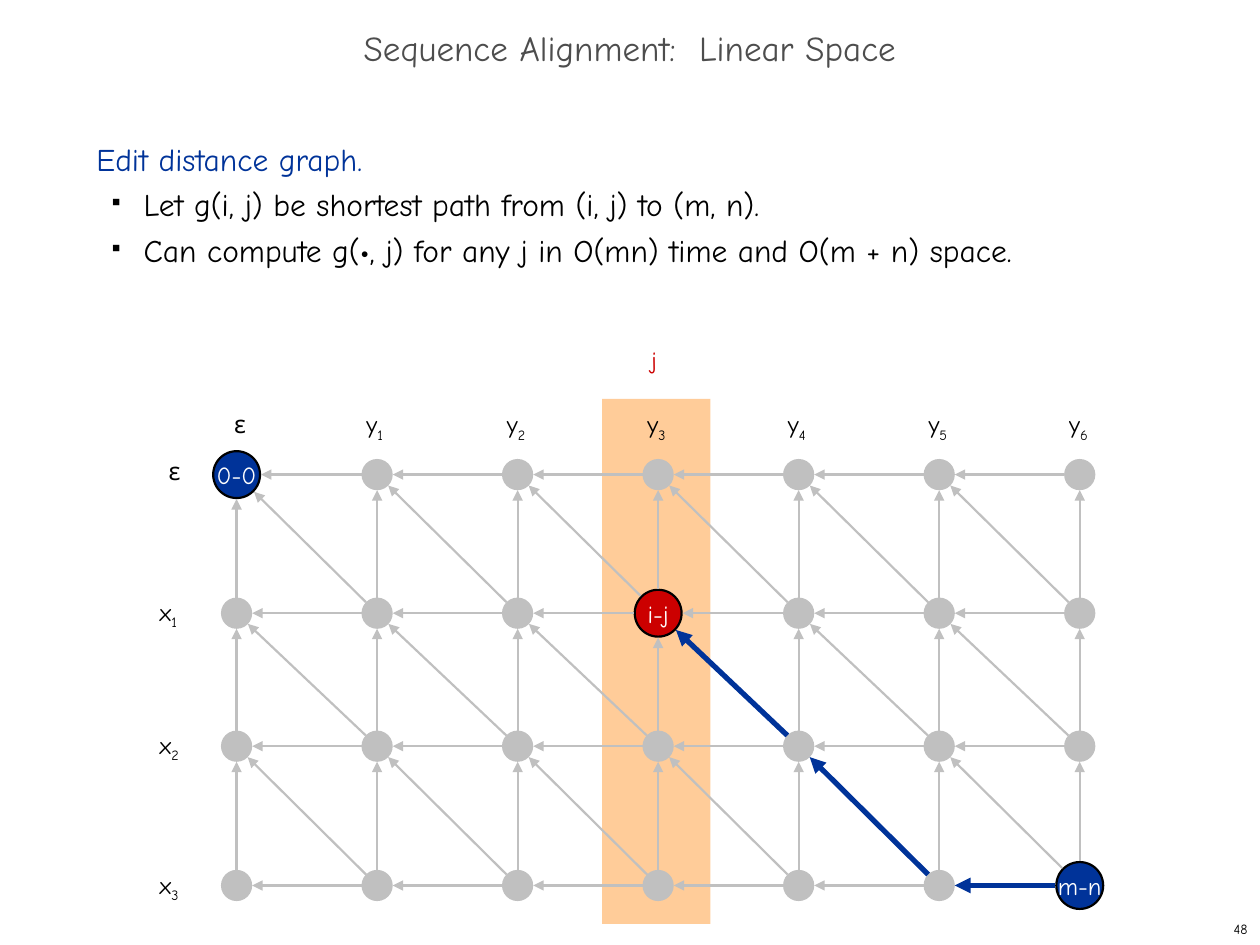
from math import hypot

from lxml import etree
from pptx import Presentation
from pptx.dml.color import RGBColor
from pptx.enum.shapes import MSO_CONNECTOR, MSO_SHAPE
from pptx.enum.text import MSO_ANCHOR, PP_ALIGN
from pptx.oxml.ns import qn
from pptx.util import Pt

OVAL, RECT = MSO_SHAPE.OVAL, MSO_SHAPE.RECTANGLE
STRAIGHT = MSO_CONNECTOR.STRAIGHT
LEFT, CENTER, RIGHT = PP_ALIGN.LEFT, PP_ALIGN.CENTER, PP_ALIGN.RIGHT
TOP, MIDDLE = MSO_ANCHOR.TOP, MSO_ANCHOR.MIDDLE

BLACK = RGBColor(0x00, 0x00, 0x00)
WHITE = RGBColor(0xFF, 0xFF, 0xFF)
BLUE = RGBColor(0x00, 0x33, 0x99)
RED = RGBColor(0xCC, 0x00, 0x00)
GRAY = RGBColor(0xC0, 0xC0, 0xC0)
DARK_GRAY = RGBColor(0x4D, 0x4D, 0x4D)
ORANGE = RGBColor(0xFF, 0xCC, 0x99)

# Grid of the edit distance graph
COLUMN_X = [135.2 + 80.3 * column for column in range(7)]
ROW_Y = [271.2, 350.4, 426.4, 506]
SMALL_RADIUS, BIG_RADIUS = 8.3, 13.4
EDGE_GAP = 0.6
KEY_NODES = {(0, 0): ("0-0", BLUE), (1, 3): ("i-j", RED), (3, 6): ("m-n", BLUE)}
SHORTEST_PATH = [(1, 3), (2, 4), (3, 5), (3, 6)]


class Canvas:
    font = "Comic Neue"
    thin, thick = 1.25, 3

    def __init__(self, slide):
        self.slide = slide

    def style(self, paragraph, size, color, align=LEFT):
        paragraph.alignment = align
        for run in paragraph.runs:
            run.font.name = self.font
            run.font.size = Pt(size)
            run.font.color.rgb = color

    def text(self, content, left, top, width, height, size,
             color=BLACK, align=LEFT, anchor=TOP):
        box = self.slide.shapes.add_textbox(Pt(left), Pt(top), Pt(width), Pt(height))
        frame = box.text_frame
        frame.word_wrap = True
        frame.vertical_anchor = anchor
        frame.text = content
        for paragraph in frame.paragraphs:
            self.style(paragraph, size, color, align)
        return frame

    def label(self, letter, left, top, subscript="", color=BLACK):
        paragraph = self.text(letter, left, top, 32.4, 24, 14, color).paragraphs[0]
        if subscript:
            index = paragraph.add_run()
            index.text = subscript
            self.style(paragraph, 14, color)
            index._r.get_or_add_rPr().set("baseline", "-25000")

    def bullet(self, paragraph):
        properties = paragraph._p.get_or_add_pPr()
        properties.set("lvl", "1")
        properties.set("marL", str(Pt(27)))
        properties.set("indent", str(-Pt(18)))
        color = etree.SubElement(properties, qn("a:buClr"))
        etree.SubElement(color, qn("a:srgbClr"), val=str(BLACK))
        etree.SubElement(properties, qn("a:buSzPct"), val="35000")
        etree.SubElement(properties, qn("a:buChar"), char="■")

    def shape(self, kind, left, top, width, height, fill, outline=None):
        shape = self.slide.shapes.add_shape(
            kind, Pt(left), Pt(top), Pt(width), Pt(height))
        shape.shadow.inherit = False
        shape.fill.solid()
        shape.fill.fore_color.rgb = fill
        if outline is None:
            shape.line.fill.background()
        else:
            shape.line.color.rgb = outline
            shape.line.width = Pt(self.thin)
        return shape

    def node(self, x, y, radius, fill, outline, name=""):
        circle = self.shape(OVAL, x - radius, y - radius,
                            2 * radius, 2 * radius, fill, outline)
        if name:
            frame = circle.text_frame
            frame.word_wrap = False
            frame.vertical_anchor = MIDDLE
            frame.text = name
            self.style(frame.paragraphs[0], 14, WHITE, CENTER)

    def arrow(self, head_x, head_y, tail_x, tail_y, color, width):
        line = self.slide.shapes.add_connector(
            STRAIGHT, Pt(head_x), Pt(head_y), Pt(tail_x), Pt(tail_y))
        line.line.color.rgb = color
        line.line.width = Pt(width)
        etree.SubElement(line.line._get_or_add_ln(), qn("a:headEnd"), type="triangle")
        etree.SubElement(line._element.spPr, qn("a:effectLst"))


def radius_of(node):
    return BIG_RADIUS if node in KEY_NODES else SMALL_RADIUS


def draw_edge(canvas, target, source):
    """Arrow from the rim of source to the rim of target."""
    x1, y1 = COLUMN_X[target[1]], ROW_Y[target[0]]
    x2, y2 = COLUMN_X[source[1]], ROW_Y[source[0]]
    length = hypot(x2 - x1, y2 - y1)
    dx, dy = (x2 - x1) / length, (y2 - y1) / length
    head, tail = radius_of(target) + EDGE_GAP, radius_of(source) + EDGE_GAP
    on_path = (target, source) in zip(SHORTEST_PATH, SHORTEST_PATH[1:])
    color, width = (BLUE, canvas.thick) if on_path else (GRAY, canvas.thin)
    canvas.arrow(x1 + head * dx, y1 + head * dy,
                 x2 - tail * dx, y2 - tail * dy, color, width)


def main():
    deck = Presentation()
    deck.slide_width, deck.slide_height = Pt(720), Pt(540)
    canvas = Canvas(deck.slides.add_slide(deck.slide_layouts[6]))

    # Highlighted column j
    canvas.shape(RECT, 344, 228, 62, 300, ORANGE)

    # Title, statement and page number
    title = canvas.text("Sequence Alignment:  Linear Space", 0, 12, 720, 36, 20,
                        DARK_GRAY, CENTER, MIDDLE)
    title.paragraphs[0].line_spacing = 0.7
    statement = canvas.text(
        "Edit distance graph.\n"
        "Let g(i, j) be shortest path from (i, j) to (m, n).\n"
        "Can compute g(•, j) for any j in O(mn) time and O(m + n) space.",
        48, 72, 618, 110, 18)
    heading, *claims = statement.paragraphs
    canvas.style(heading, 18, BLUE)
    for claim in claims:
        canvas.bullet(claim)
    for paragraph in statement.paragraphs:
        paragraph.line_spacing = Pt(26)
    canvas.text("48", 570, 522, 150, 18, 8, align=RIGHT, anchor=MIDDLE)

    # Nodes
    grid = [(row, column) for row in range(len(ROW_Y))
            for column in range(len(COLUMN_X))]
    for node in grid:
        row, column = node
        name, fill = KEY_NODES.get(node, ("", GRAY))
        canvas.node(COLUMN_X[column], ROW_Y[row], radius_of(node), fill,
                    BLACK if name else GRAY, name)

    # Edges to the left, upper and upper-left neighbours
    for row, column in grid:
        for up, back in ((0, 1), (1, 0), (1, 1)):
            target = (row - up, column - back)
            if min(target) >= 0:
                draw_edge(canvas, target, (row, column))

    # Row and column labels
    canvas.label("ε", 89.3, 257)
    canvas.label("ε", 126.7, 230.4)
    for row, y in enumerate(ROW_Y[1:], 1):
        canvas.label("x", 84.2, y - 12.7, str(row))
    for column, x in enumerate(COLUMN_X[1:], 1):
        canvas.label("y", x - 13.2, 230.4, str(column))
    canvas.label("j", 365, 193.7, color=RED)

    deck.save("out.pptx")


if __name__ == "__main__":
    main()
